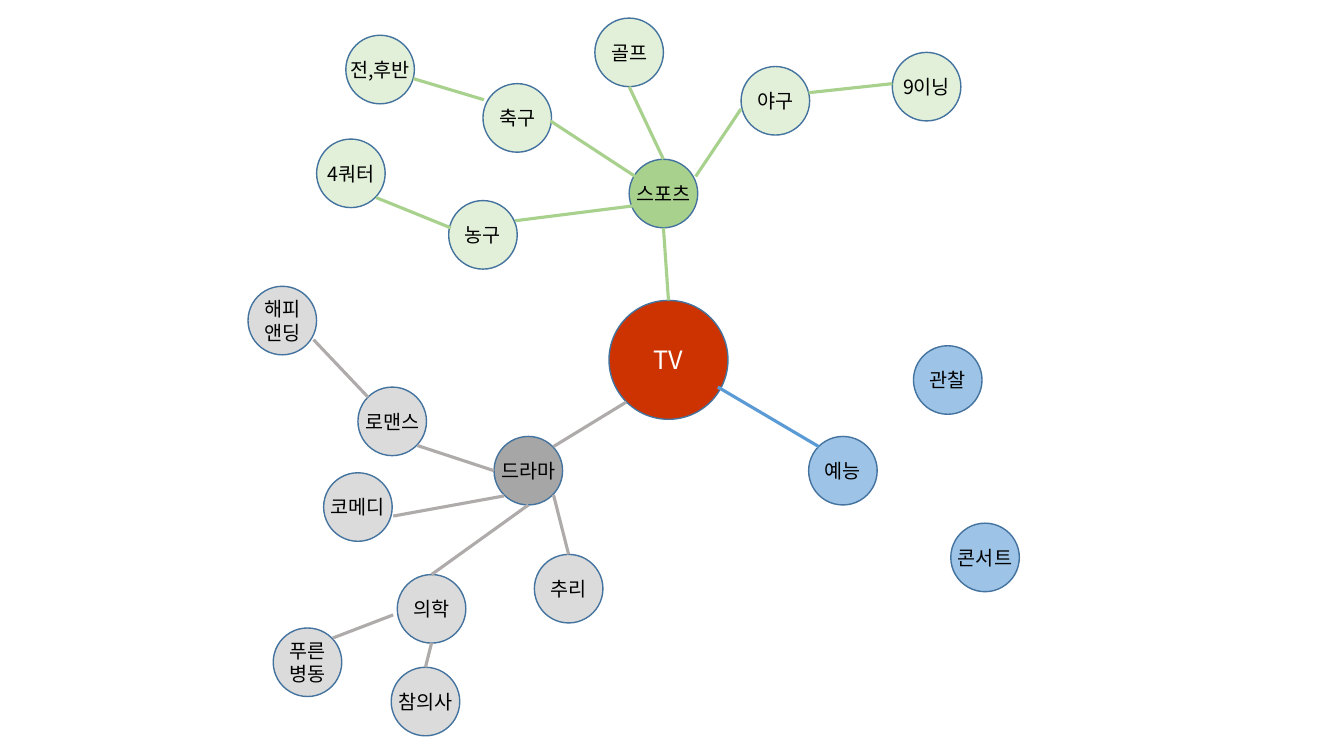
from dataclasses import dataclass

from lxml import etree
from pptx import Presentation, util as u
from pptx.dml.color import RGBColor
from pptx.enum import shapes, text
from pptx.oxml import ns

COLUMNS, ROWS = 1333, 750
CELL = u.Inches(0.01)


@dataclass(frozen=True)
class Theme:
    font: str = "Noto Sans CJK KR"
    root_size: int = 18
    topic_size: int = 14
    outline: str = "43739E"
    outline_width: float = 1
    branch_width: float = 2.25
    root: str = "CC3300"
    root_text: str = "FFFFFF"
    topic_text: str = "000000"
    sports: str = "A9D18E"
    sports_light: str = "E2F0D9"
    drama: str = "A6A6A6"
    drama_light: str = "DBDBDB"
    drama_branch: str = "AFABAB"
    variety: str = "9DC3E6"
    variety_branch: str = "5B9BD5"


THEME = Theme()
ROOT_RADIUS, TOPIC_RADIUS = 59, 34

N, S, W = (0, -34), (0, 34), (-34, 0)
NE, SE, SW, NW = (25, -24), (25, 24), (-24, 25), (-24, -24)

TOPICS = {
    THEME.sports: {"스포츠": (658, 192)},
    THEME.sports_light: {
        "야구": (769, 100), "골프": (624, 52), "축구": (513, 117),
        "농구": (479, 233), "4쿼터": (348, 172), "9이닝": (919, 86),
        "전,후반": (377, 69),
    },
    THEME.drama: {"드라마": (524, 467)},
    THEME.drama_light: {
        "로맨스": (389, 418), "코메디": (355, 503), "의학": (428, 604),
        "추리": (564, 584), "해피\n앤딩": (280, 318),
        "푸른\n병동": (305, 657), "참의사": (422, 696),
    },
    THEME.variety: {"예능": (836, 467), "관찰": (940, 377), "콘서트": (977, 553)},
}

BRANCHES = {
    THEME.sports: [
        ("TV", (0, -59), "스포츠", S),
        ("야구", (-34, 8), "스포츠", (32, -17)),
        ("골프", S, "스포츠", N),
        ("축구", (33, 3), "스포츠", (-28, -17)),
        ("농구", (32, -14), "스포츠", (-28, 12)),
        ("4쿼터", SE, "농구", (-32, -7)),
        ("9이닝", (-34, -3), "야구", (33, -8)),
        ("전,후반", (33, 9), "축구", (-33, -18)),
    ],
    THEME.drama_branch: [
        ("드라마", NE, "TV", (-42, 42)),
        ("로맨스", SE, "드라마", W),
        ("코메디", (35, 9), "드라마", SW),
        ("의학", N, "드라마", S),
        ("드라마", SE, "추리", N),
        ("해피\n앤딩", (31, 19), "로맨스", NW),
        ("푸른\n병동", NE, "의학", (-38, 6)),
        ("참의사", N, "의학", S),
    ],
    THEME.variety_branch: [("TV", (49, 27), "예능", NW)],
}


def style_label(frame, size, color):
    frame.word_wrap = False
    frame.vertical_anchor = text.MSO_ANCHOR.MIDDLE
    frame.margin_left = frame.margin_right = 0
    frame.margin_top = frame.margin_bottom = 0
    for line in frame.paragraphs:
        line.alignment = text.PP_ALIGN.CENTER
        for run in line.runs:
            run.font.size = u.Pt(size)
            run.font.name = THEME.font
            run.font.color.rgb = RGBColor.from_string(color)
            east_asian = etree.SubElement(run.font._element, ns.qn("a:ea"))
            east_asian.set("typeface", THEME.font)


def add_topic(slide, label, center, radius, fill, size, color):
    column, row = center
    topic = slide.shapes.add_shape(
        shapes.MSO_SHAPE.OVAL,
        (column - radius) * CELL, (row - radius) * CELL,
        2 * radius * CELL, 2 * radius * CELL,
    )
    topic.shadow.inherit = False
    topic.fill.solid()
    topic.fill.fore_color.rgb = RGBColor.from_string(fill)
    topic.line.color.rgb = RGBColor.from_string(THEME.outline)
    topic.line.width = u.Pt(THEME.outline_width)
    topic.text_frame.text = label
    style_label(topic.text_frame, size, color)


def add_branch(slide, start, end, color):
    branch = slide.shapes.add_connector(
        shapes.MSO_CONNECTOR.STRAIGHT, *(cells * CELL for cells in start + end)
    )
    branch.line.color.rgb = RGBColor.from_string(color)
    branch.line.width = u.Pt(THEME.branch_width)
    etree.SubElement(branch._element.spPr, ns.qn("a:effectLst"))


def offset(center, shift):
    return center[0] + shift[0], center[1] + shift[1]


def main():
    deck = Presentation()
    deck.slide_width, deck.slide_height = COLUMNS * CELL, ROWS * CELL
    mind_map = deck.slides.add_slide(deck.slide_layouts[6])

    centers = {"TV": (663, 357)}
    add_topic(mind_map, "TV", centers["TV"], ROOT_RADIUS, THEME.root,
              THEME.root_size, THEME.root_text)
    for fill, topics in TOPICS.items():
        centers.update(topics)
        for label, center in topics.items():
            add_topic(mind_map, label, center, TOPIC_RADIUS, fill,
                      THEME.topic_size, THEME.topic_text)

    for color, branches in BRANCHES.items():
        for source, leaving, target, arriving in branches:
            add_branch(mind_map, offset(centers[source], leaving),
                       offset(centers[target], arriving), color)

    deck.save("out.pptx")


if __name__ == "__main__":
    main()
